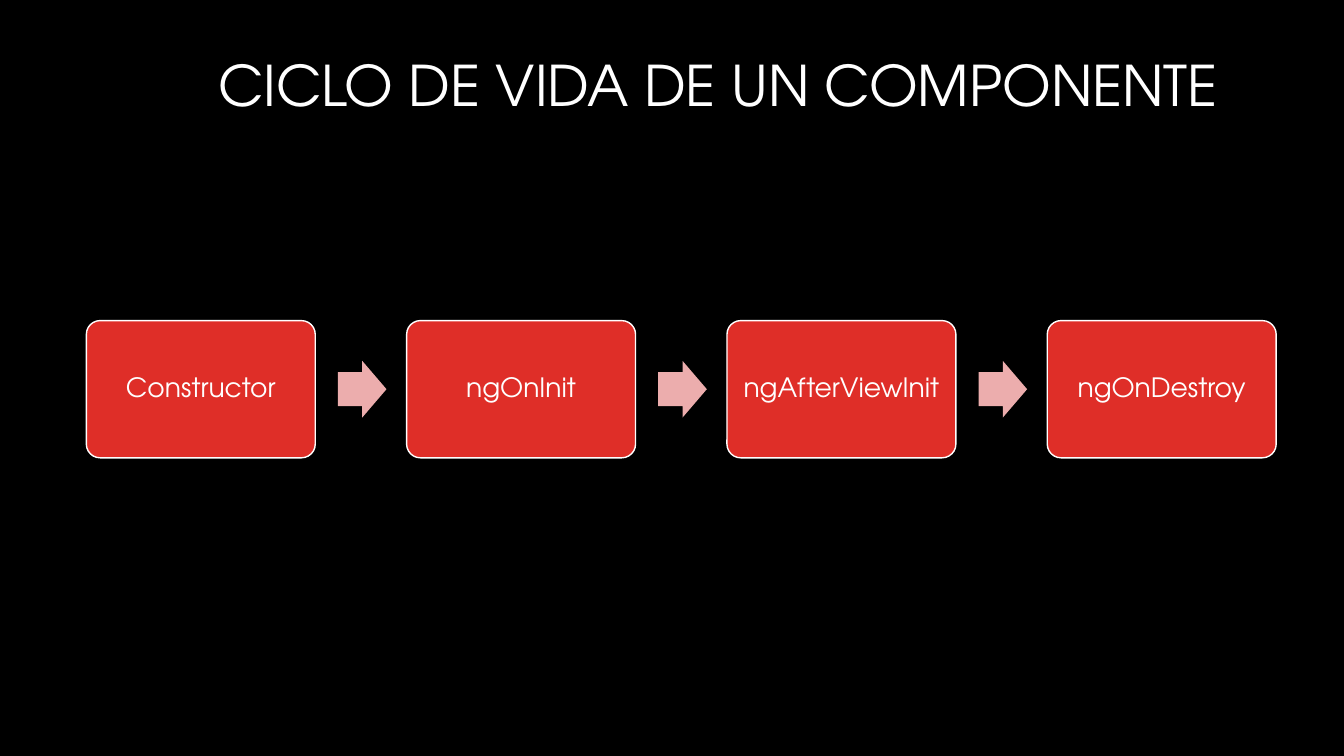
from pptx import Presentation
from pptx.dml.color import RGBColor
from pptx.enum import shapes, text
from pptx.util import Pt

FONT = "TeX Gyre Adventor"
WHITE, RED, PINK, BLACK = "FFFFFF", "DF2E28", "ECADAD", "000000"
STAGES = ["Constructor", "ngOnInit", "ngAfterViewInit", "ngOnDestroy"]
LEFT, PITCH, MIDDLE = 61.7, 228.8, 278
BOX_W, BOX_H = 163.5, 98
ARROW_W, ARROW_H, ARROW_OFFSET = 34.7, 40.5, 179.7


def paint(color_format, color):
    color_format.rgb = RGBColor.from_string(color)


def fill(target, color):
    target.fill.solid()
    paint(target.fill.fore_color, color)


def write(tf, words, size, align):
    tf.word_wrap = True
    tf.vertical_anchor = text.MSO_ANCHOR.MIDDLE
    p = tf.paragraphs[0]
    p.text = words
    p.alignment = align
    p.line_spacing = 0.9
    p.font.name = FONT
    p.font.size = Pt(size)
    paint(p.font.color, WHITE)


def add_title(s, words):
    sp = s.shapes.title
    sp.left, sp.top, sp.width, sp.height = Pt(61), Pt(15), Pt(816), Pt(96.5)
    write(sp.text_frame, words, 40, text.PP_ALIGN.RIGHT)


def add_block(s, kind, left, width, height, color, adjustments):
    sp = s.shapes.add_shape(kind, Pt(left), Pt(MIDDLE - height / 2), Pt(width), Pt(height))
    sp.shadow.inherit = False
    for i, value in enumerate(adjustments):
        sp.adjustments[i] = value
    fill(sp, color)
    sp.line.fill.background()
    return sp


def add_stage(s, left, words):
    sp = add_block(s, shapes.MSO_SHAPE.ROUNDED_RECTANGLE, left, BOX_W, BOX_H, RED, [0.1])
    sp.line.width = Pt(1)
    fill(sp.line, WHITE)
    tf = sp.text_frame
    tf.margin_left = tf.margin_right = tf.margin_top = tf.margin_bottom = Pt(5.7)
    write(tf, words, 19, text.PP_ALIGN.CENTER)


def add_arrow(s, left):
    add_block(s, shapes.MSO_SHAPE.RIGHT_ARROW, left, ARROW_W, ARROW_H, PINK, [0.6, 0.5])


def main():
    prs = Presentation()
    prs.slide_width, prs.slide_height = Pt(960), Pt(540)
    s = prs.slides.add_slide(prs.slide_layouts.get_by_name("Title Only"))
    fill(s.background, BLACK)
    add_title(s, "CICLO DE VIDA DE UN COMPONENTE")
    for i, stage in enumerate(STAGES):
        left = LEFT + i * PITCH
        if i:
            add_arrow(s, left - PITCH + ARROW_OFFSET)
        add_stage(s, left, stage)
    prs.save("out.pptx")


main()
